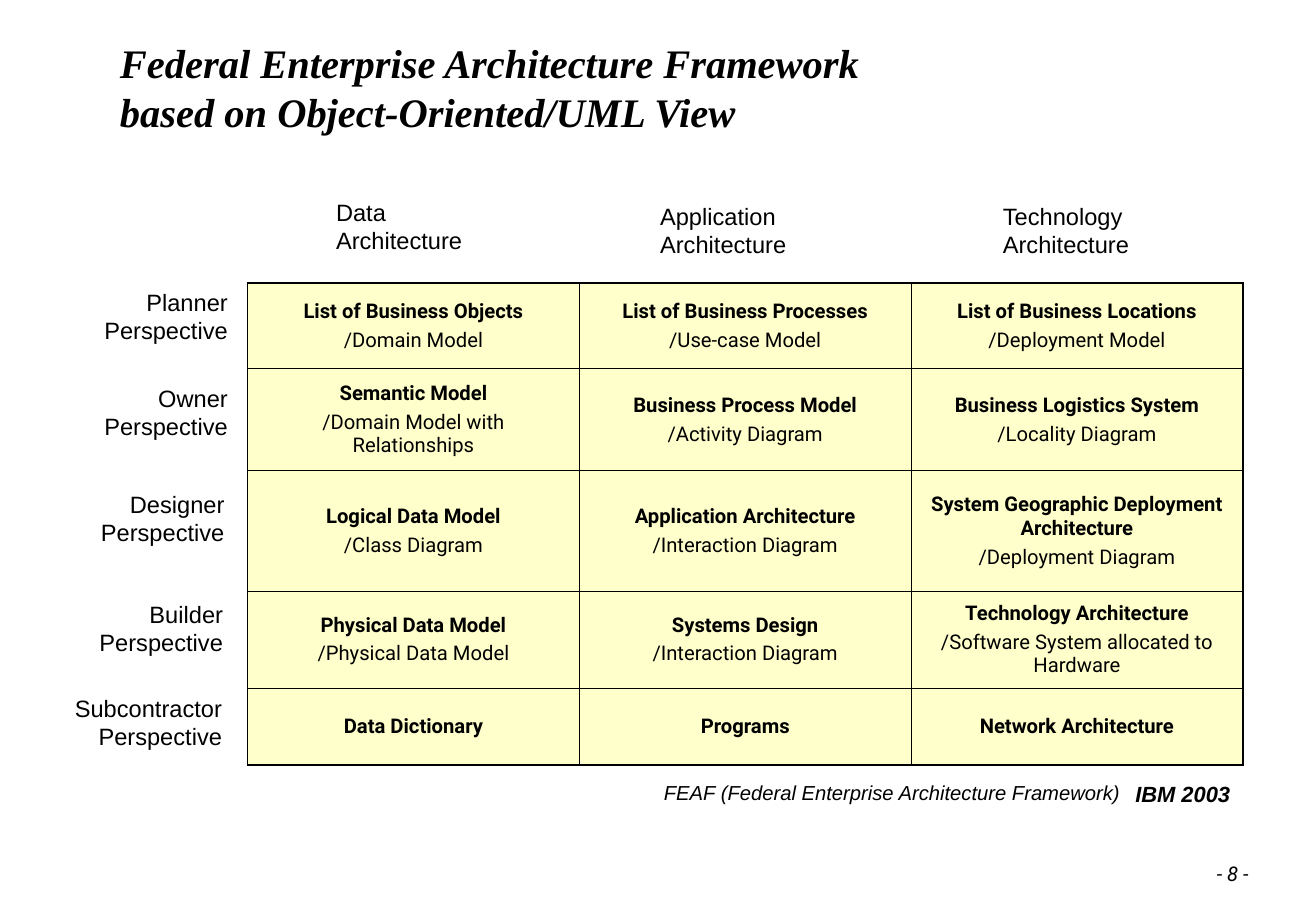
from dataclasses import dataclass

from lxml import etree
from pptx import Presentation
from pptx import table as tb
from pptx import util as u
from pptx.dml import color as c
from pptx.enum import text as e
from pptx.oxml import ns
from pptx.shapes import shapetree as st
from pptx.text import text as t

INK = "000000"
CREAM = "FFFFCC"
THIN, THICK = 0.45, 1.08  # border widths in points
LEFT, RIGHT = e.PP_ALIGN.LEFT, e.PP_ALIGN.RIGHT
COL = 6.94
ROWS = [1.79, 2.13, 2.52, 2.03, 1.61]
GRID = [
    ["List of Business Objects\n/Domain Model",
     "List of Business Processes\n/Use-case Model",
     "List of Business Locations\n/Deployment Model"],
    ["Semantic Model\n/Domain Model with Relationships",
     "Business Process Model\n/Activity Diagram",
     "Business Logistics System\n/Locality Diagram"],
    ["Logical Data Model\n/Class Diagram",
     "Application Architecture\n/Interaction Diagram",
     "System Geographic Deployment Architecture\n/Deployment Diagram"],
    ["Physical Data Model\n/Physical Data Model",
     "Systems Design\n/Interaction Diagram",
     "Technology Architecture\n/Software System allocated to Hardware"],
    ["Data Dictionary", "Programs", "Network Architecture"],
]


@dataclass
class Label:
    """A text box; lengths in centimetres, size in points."""
    words: str
    left: float
    top: float
    width: float
    height: float = 1.45
    size: float = 14
    face: str = "Arial"
    bold: bool = False
    slant: bool = False
    align: e.PP_ALIGN = LEFT
    anchor: e.MSO_ANCHOR = e.MSO_ANCHOR.TOP
    wrap: bool = False


HEADS = [Label(f"{name}\nArchitecture", left, top, 3.18)
         for name, left, top in [("Data", 6.78, 4.01),
                                 ("Application", 13.56, 4.09),
                                 ("Technology", 20.73, 4.09)]]
SIDES = [Label(f"{name}\nPerspective", left, top, width, align=RIGHT)
         for name, left, top, width in [("Planner", 1.9, 5.89, 3.12),
                                        ("Owner", 1.9, 7.9, 3.12),
                                        ("Designer", 1.83, 10.11, 3.12),
                                        ("Builder", 1.8, 12.42, 3.12),
                                        ("Subcontractor", 1.3, 14.38, 3.6)]]
TITLE = Label("Federal Enterprise Architecture Framework\v"
              "based on Object-Oriented/UML View",
              2.26, 0.79, 24.1, 2.06, 24, "Times New Roman", bold=True,
              slant=True, anchor=e.MSO_ANCHOR.MIDDLE, wrap=True)
NOTES = [
    Label("IBM 2003", 23.5, 16.2, 2.51, 0.81, 13, bold=True, slant=True),
    Label("FEAF (Federal Enterprise Architecture Framework)",
          13.64, 16.2, 10.08, 0.76, 12, slant=True),
    Label("- 8 -", 24.08, 17.65, 2.29, 0.99, 12, "Roboto", slant=True,
          align=RIGHT, anchor=e.MSO_ANCHOR.BOTTOM, wrap=True),
]


def tint(code: str) -> c.RGBColor:
    return c.RGBColor.from_string(code)


def style(font: t.Font, face: str, size: float, bold: bool,
          slant: bool = False) -> None:
    font.name, font.size = face, u.Pt(size)
    font.bold, font.italic = bold, slant
    font.color.rgb = tint(INK)


def write(shapes: st.SlideShapes, label: Label) -> None:
    box = shapes.add_textbox(u.Cm(label.left), u.Cm(label.top),
                             u.Cm(label.width), u.Cm(label.height))
    frame = box.text_frame
    frame.text = label.words
    frame.word_wrap = label.wrap
    frame.vertical_anchor = label.anchor
    if not label.wrap:
        frame.auto_size = e.MSO_AUTO_SIZE.SHAPE_TO_FIT_TEXT
    for para in frame.paragraphs:
        para.alignment = label.align
        style(para.font, label.face, label.size, label.bold, label.slant)


def edge(cell: tb._Cell, side: str, width: float) -> None:
    """Draw one border, side being L, R, T or B."""
    props = cell._tc.get_or_add_tcPr()
    line = etree.SubElement(props, ns.qn(f"a:ln{side}"), w=str(u.Pt(width)))
    fill = etree.SubElement(line, ns.qn("a:solidFill"))
    etree.SubElement(fill, ns.qn("a:srgbClr"), val=INK)


def fill_cell(cell: tb._Cell, words: str, outer: dict[str, bool]) -> None:
    """Fill a cell; outer tells which sides lie on the table's rim."""
    cell.text = words
    cell.vertical_anchor = e.MSO_ANCHOR.MIDDLE
    for rank, para in enumerate(cell.text_frame.paragraphs):
        para.alignment = e.PP_ALIGN.CENTER
        if rank:
            para.space_before = u.Pt(3)
        style(para.font, "Roboto", 12, bold=rank == 0)
    for side, rim in outer.items():
        edge(cell, side, THICK if rim else THIN)
    cell.fill.solid()
    cell.fill.fore_color.rgb = tint(CREAM)


def draw_grid(shapes: st.SlideShapes) -> None:
    rows, cols = len(GRID), len(GRID[0])
    grid = shapes.add_table(rows, cols, u.Cm(5.18), u.Cm(5.92),
                            u.Cm(COL * cols), u.Cm(sum(ROWS))).table
    grid.first_row = grid.horz_banding = False
    for col in grid.columns:
        col.width = u.Cm(COL)
    for y, (height, line) in enumerate(zip(ROWS, GRID)):
        grid.rows[y].height = u.Cm(height)
        for x, words in enumerate(line):
            outer = {"L": x == 0, "R": x == cols - 1,
                     "T": y == 0, "B": y == rows - 1}
            fill_cell(grid.cell(y, x), words, outer)


def main() -> None:
    deck = Presentation()
    deck.slide_width, deck.slide_height = u.Cm(27.53), u.Cm(19.05)
    shapes = deck.slides.add_slide(deck.slide_layouts[6]).shapes
    write(shapes, TITLE)
    draw_grid(shapes)
    for label in HEADS + SIDES + NOTES:
        write(shapes, label)
    deck.save("out.pptx")


if __name__ == "__main__":
    main()
